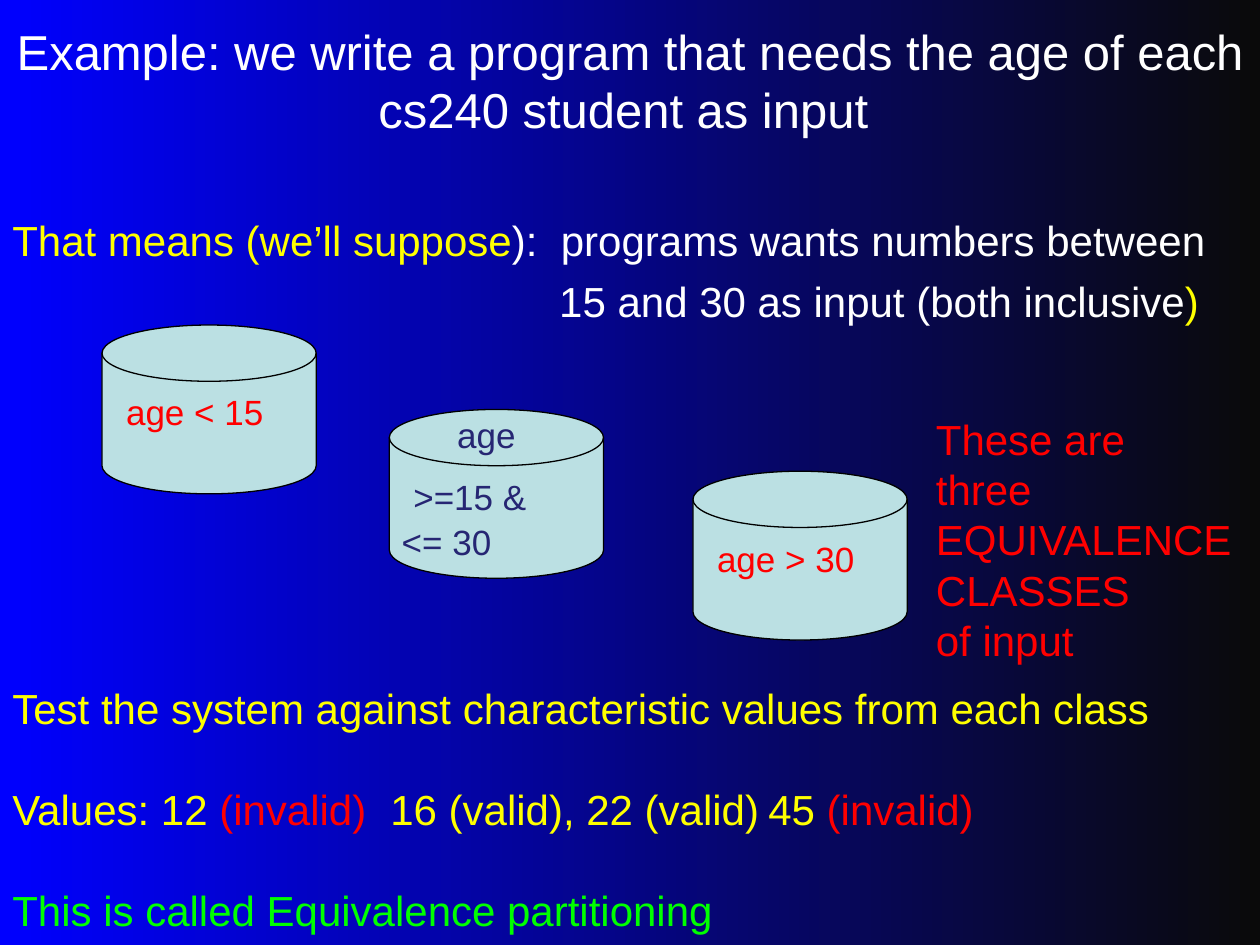
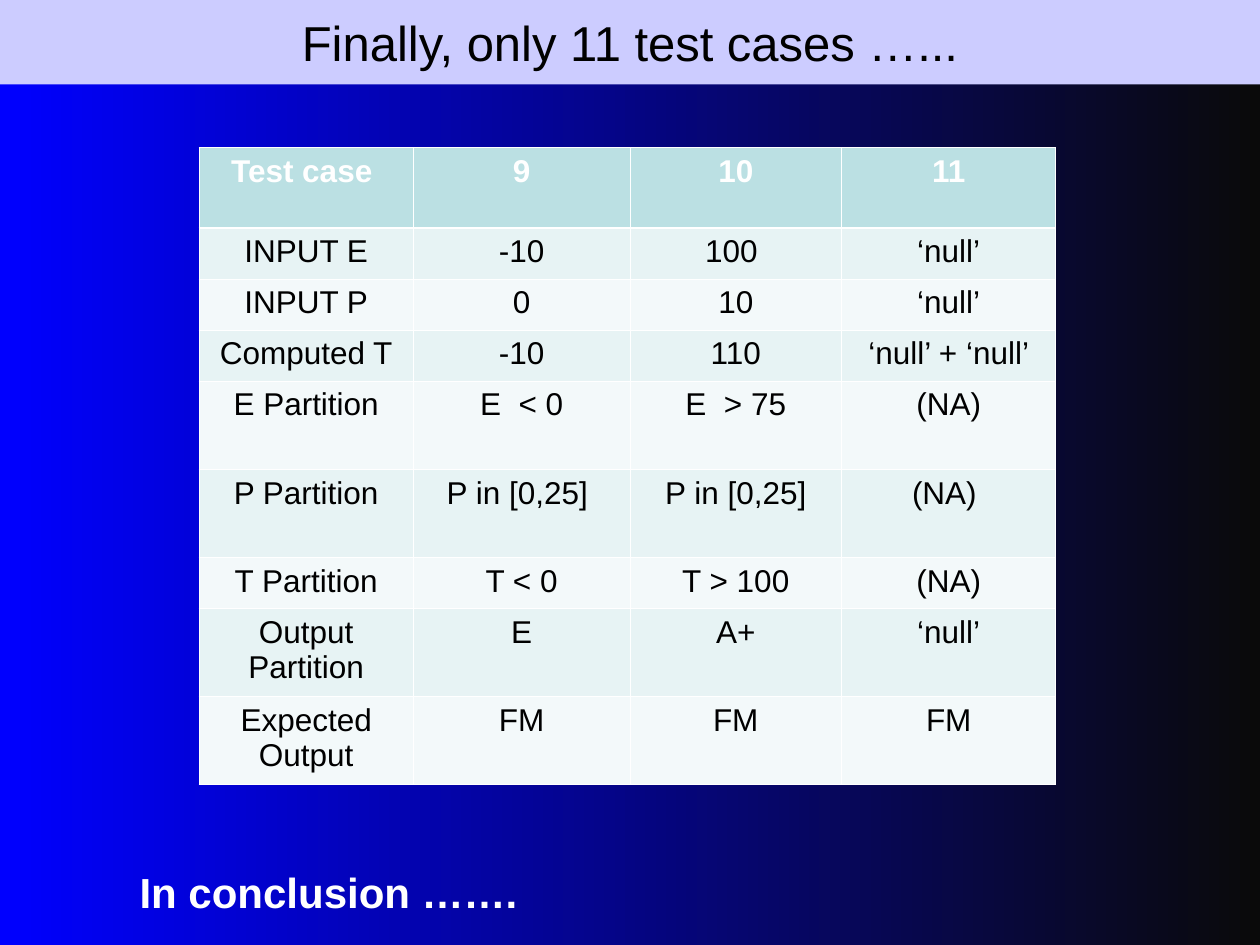
from dataclasses import dataclass

from lxml import etree
from pptx import Presentation
from pptx.dml.color import RGBColor
from pptx.enum.shapes import MSO_SHAPE
from pptx.enum.text import MSO_ANCHOR, PP_ALIGN
from pptx.oxml.ns import qn
from pptx.util import Inches, Pt

DISK = MSO_SHAPE.FLOWCHART_MAGNETIC_DISK
TOP, MIDDLE = MSO_ANCHOR.TOP, MSO_ANCHOR.MIDDLE
LEFT, CENTER = PP_ALIGN.LEFT, PP_ALIGN.CENTER

CELL = Inches(0.25)  # grid of 40 columns by 30 rows
COLS, ROWS = 40, 30
FONT = "Arial"
LEAD = 1.2  # line height as a share of the text size
HEX = {
    "blue": "0000FF", "dark": "0A0A0A", "white": "FFFFFF", "black": "000000",
    "yellow": "FFFF00", "red": "FF0000", "green": "00FF00", "navy": "262673",
    "teal": "BBE0E3", "mist": "E7F3F4", "pale": "F3F9FA", "lilac": "CCCCFF",
}


def rgb(name):
    return RGBColor.from_string(HEX[name])


def grid(*spans):
    return [round(span * CELL) for span in spans]


@dataclass
class Line:
    """One paragraph: (text, colour) runs, space before, indents and tabs in columns."""
    runs: list
    before: float = 0
    left: float = 0
    first: float = 0
    tabs: tuple = ()


class Deck:
    """Holds the shared style and the slide being built."""

    def __init__(self):
        self.prs = Presentation()
        self.prs.slide_width, self.prs.slide_height = grid(COLS, ROWS)
        fill = self.prs.slide_master.background.fill
        fill.gradient()
        fill.gradient_angle = 0
        for stop, name in zip(fill.gradient_stops, ("blue", "dark")):
            stop.color.rgb = rgb(name)
        self.slide = None

    def style(self, run, size, color, bold=False):
        font = run.font
        font.name, font.size, font.bold = FONT, Pt(size), bold
        font.color.rgb = rgb(color)

    def put(self, frame, lines, size, bold=False, lead=None):
        """Fill a text frame; lead is the line height in points."""
        frame.vertical_anchor = TOP
        for i, line in enumerate(lines):
            para = frame.add_paragraph() if i else frame.paragraphs[0]
            para.alignment = LEFT
            para.line_spacing = Pt(lead or size * LEAD)
            para.space_before = Pt(line.before)
            for text, color in line.runs:
                run = para.add_run()
                run.text = text
                self.style(run, size, color, bold)
            props = para._p.get_or_add_pPr()
            left, first = grid(line.left, line.first)
            props.set("marL", str(left))
            props.set("indent", str(first))
            if line.tabs:
                stops = etree.SubElement(props, qn("a:tabLst"))
                for pos in grid(*line.tabs):
                    etree.SubElement(stops, qn("a:tab"), pos=str(pos), algn="l")

    def page(self, title, high, color, band=None):
        """Start a slide with a full-width title, on a band if a colour is given."""
        self.slide = self.prs.slides.add_slide(self.prs.slide_layouts[5])
        head = self.slide.shapes.title
        head.left, head.top, head.width, head.height = grid(0, 0, COLS, high)
        if band:
            head.fill.solid()
            head.fill.fore_color.rgb = rgb(band)
        frame = head.text_frame
        frame.text = title
        frame.word_wrap = True
        frame.vertical_anchor = MIDDLE
        para = frame.paragraphs[0]
        para.alignment = CENTER
        para.line_spacing = Pt(28 * LEAD)
        self.style(para.runs[0], 28, color)

    def text(self, box, lines, size=24, bold=False, wrap=True, drop=0.2):
        """Add a text box; drop is its top inset in rows."""
        frame = self.slide.shapes.add_textbox(*grid(*box)).text_frame
        frame.word_wrap = wrap
        frame.margin_top = grid(drop)[0]
        self.put(frame, lines, size, bold)

    def disk(self, col, row, lines):
        shape = self.slide.shapes.add_shape(DISK, *grid(col, row, 6.8, 5.36))
        shape.shadow.inherit = False
        shape.fill.solid()
        shape.fill.fore_color.rgb = rgb("teal")
        shape.line.color.rgb = rgb("black")
        shape.line.width = Pt(0.75)
        self.put(shape.text_frame, lines, 20, lead=26)

    def edge(self, cell, widths):
        """Draw white borders: left, right, top, bottom, in points."""
        props = cell._tc.get_or_add_tcPr()
        for i, (side, width) in enumerate(zip("LRTB", widths)):
            line = etree.Element(qn(f"a:ln{side}"), w=str(Pt(width)))
            fill = etree.SubElement(line, qn("a:solidFill"))
            etree.SubElement(fill, qn("a:srgbClr"), val=HEX["white"])
            props.insert(i, line)

    def table(self, col, row, wide, high, data):
        box = grid(col, row, sum(wide), sum(high))
        table = self.slide.shapes.add_table(len(high), len(wide), *box).table
        table.horz_banding = False
        for part, span in zip(table.columns, grid(*wide)):
            part.width = span
        for part, span in zip(table.rows, grid(*high)):
            part.height = span
        thin, thick = 0.45, 1.47
        for r, texts in enumerate(data):
            head = r == 0
            tint = "teal" if head else "mist" if r % 2 else "pale"
            edges = (thin, thin, thick if r == 1 else thin, thick if head else thin)
            for c, text in enumerate(texts):
                cell = table.cell(r, c)
                cell.fill.solid()
                cell.fill.fore_color.rgb = rgb(tint)
                cell.text_frame.text = text
                para = cell.text_frame.paragraphs[0]
                para.alignment = CENTER
                self.style(para.runs[0], 18, "white" if head else "black", head)
                self.edge(cell, edges)


def classes(deck):
    deck.page("Example: we write a program that needs the age of each "
              "cs240 student as input ", 5.08, "white")
    deck.text((0, 4.68, COLS, 25.32), [
        Line([("That means (we’ll suppose", "yellow"),
              ("):  programs wants numbers between", "white")]),
        Line([("15 and 30 as input (both inclusive", "white"), (")", "yellow")],
             before=6, left=17.36),
    ], drop=2.12)
    deck.disk(12.36, 13, [Line([(">=15 &", "navy")], first=0.37),
                          Line([("<= 30", "navy")])])
    deck.disk(22, 14.96, [Line([("age > 30", "red")], first=0.37)])
    deck.disk(3.24, 10.32, [Line([("age < 15", "red")], first=0.37)])
    deck.text((13.52, 12.92, 5.68, 1.76), [Line([("age", "navy")], left=0.6)], 20)
    words = ("These are", "three", "EQUIVALENCE", "CLASSES", "of input")
    deck.text((29.32, 12.92, 10.68, 8.4), [Line([(word, "red")]) for word in words])
    gap = 24 * LEAD
    deck.text((0, 21.48, 39.44, 8.4), [
        Line([("Test the system against characteristic values from each class",
               "yellow")]),
        Line([("Values: 12 ", "yellow"), ("(invalid)", "red"),
              ("\t16 (valid), 22 (valid)\t45 ", "yellow"), ("(invalid)", "red")],
             before=gap, tabs=(13.4, 27.7)),
        Line([("This is called Equivalence partitioning", "green")], before=gap),
    ])


def cases(deck):
    deck.page("Finally, only 11 test cases …...", 2.68, "black", "lilac")
    tall, low = 2.8, 1.62
    deck.table(6.32, 4.68, (6.8, 6.88, 6.72, 6.8),
               (2.56, low, low, low, tall, tall, low, tall, tall), [
        ("Test case ", "9", "10", "11"),
        ("INPUT E", "-10", "100 ", "‘null’"),
        ("INPUT P", "0", "10", "‘null’"),
        ("Computed T", "-10", "110", "‘null’ + ‘null’"),
        ("E Partition", "E  < 0", "E  > 75", "(NA)"),
        ("P Partition", "P in [0,25] ", "P in [0,25]", "(NA) "),
        ("T Partition", "T < 0", "T > 100", "(NA)"),
        ("Output Partition", "E", "A+", "‘null’"),
        ("Expected Output", "FM", "FM", "FM"),
    ])
    deck.text((4.04, 27.32, 12.8, 2), [Line([("In conclusion …….", "white")])],
              bold=True, wrap=False)


def main():
    deck = Deck()
    classes(deck)
    cases(deck)
    deck.prs.save("out.pptx")


if __name__ == "__main__":
    main()
